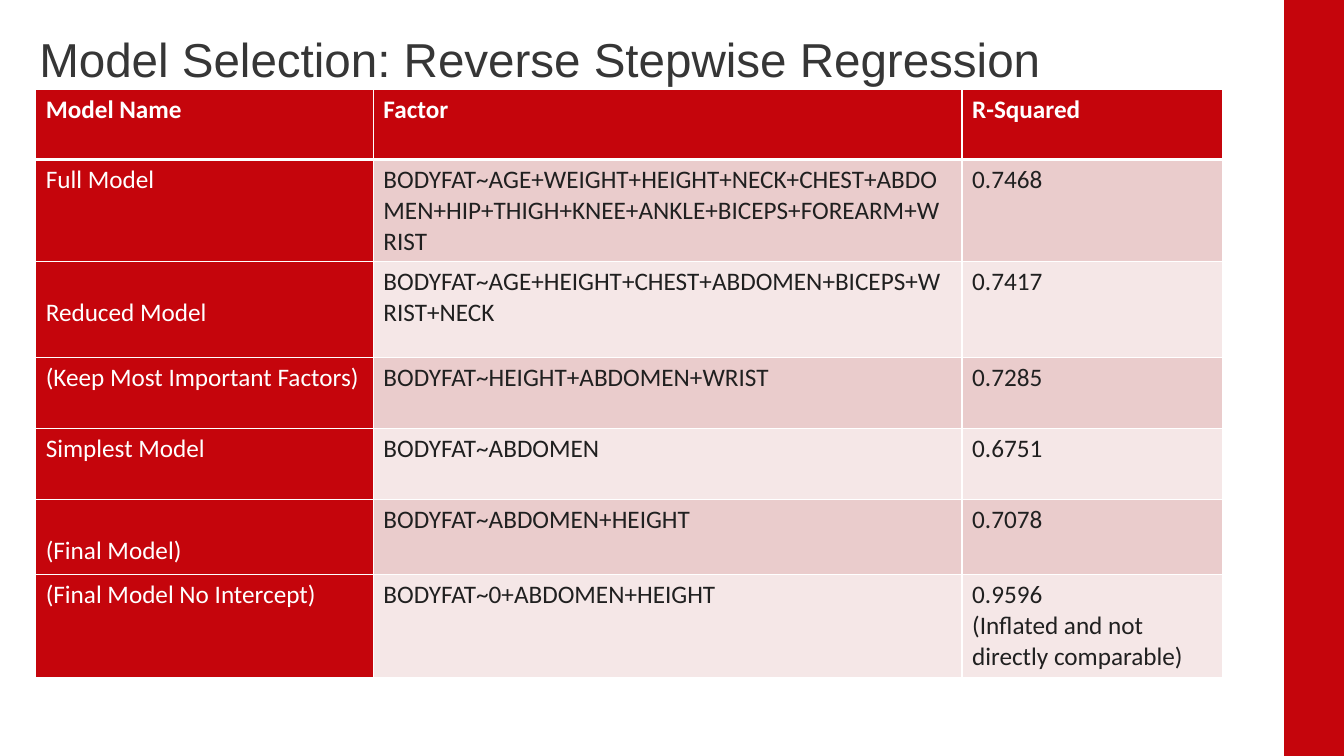
from lxml import etree
from pptx import Presentation
from pptx.dml.color import RGBColor
from pptx.enum.shapes import MSO_SHAPE
from pptx.enum.text import MSO_ANCHOR
from pptx.oxml.ns import qn
from pptx.util import Pt

RECTANGLE = MSO_SHAPE.RECTANGLE
BOTTOM = MSO_ANCHOR.BOTTOM

COLORS = {
    "red": "C5050C",
    "dark_band": "EACCCC",
    "light_band": "F5E7E7",
    "white": "FFFFFF",
    "title": "363636",
    "body": "202020",
}

SLIDE_WIDTH, SLIDE_HEIGHT = 960, 540
SIDEBAR_LEFT = 917.3
COLUMN_WIDTHS = [241.2, 420.5, 185.8]
ROW_HEIGHTS = [50, 73, 68.4, 50.6, 50.6, 54, 73.2]
CELL_MARGIN = 3.6
LINE_HEIGHT = 22

MODELS = [
    ("Model Name", "Factor", "R-Squared"),
    ("Full Model",
     "BODYFAT~AGE+WEIGHT+HEIGHT+NECK+CHEST+ABDOMEN+HIP+THIGH+KNEE"
     "+ANKLE+BICEPS+FOREARM+WRIST", "0.7468"),
    ("Reduced Model",
     "BODYFAT~AGE+HEIGHT+CHEST+ABDOMEN+BICEPS+WRIST+NECK", "0.7417"),
    ("(Keep Most Important Factors)", "BODYFAT~HEIGHT+ABDOMEN+WRIST", "0.7285"),
    ("Simplest Model", "BODYFAT~ABDOMEN", "0.6751"),
    ("(Final Model)", "BODYFAT~ABDOMEN+HEIGHT", "0.7078"),
    ("(Final Model No Intercept)", "BODYFAT~0+ABDOMEN+HEIGHT",
     "0.9596\n(Inflated and not directly comparable)"),
]
LOWERED_NAMES = {"Reduced Model", "(Final Model)"}


def rgb(name):
    return RGBColor.from_string(COLORS[name])


def write_text(frame, text, *, size=18, font="Calibri", color="body",
               bold=False, line_spacing=None):
    frame.word_wrap = True
    for index, line in enumerate(text.split("\n")):
        paragraph = frame.add_paragraph() if index else frame.paragraphs[0]
        if line_spacing:
            paragraph.line_spacing = line_spacing
        run = paragraph.add_run()
        run.text = line
        run.font.size = Pt(size)
        run.font.name = font
        run.font.bold = bold
        run.font.color.rgb = rgb(color)


def add_sidebar(slide):
    shape = slide.shapes.add_shape(RECTANGLE, Pt(SIDEBAR_LEFT), 0,
                                   Pt(SLIDE_WIDTH - SIDEBAR_LEFT), Pt(SLIDE_HEIGHT))
    shape.shadow.inherit = False
    shape.fill.solid()
    shape.fill.fore_color.rgb = rgb("red")
    shape.line.fill.background()


def add_title(slide, text):
    frame = slide.shapes.add_textbox(Pt(28.1), Pt(21.6), Pt(858), Pt(41)).text_frame
    frame.margin_left = frame.margin_bottom = 0
    frame.vertical_anchor = BOTTOM
    write_text(frame, text, size=34, font="Arial", color="title", line_spacing=0.9)


def set_borders(cell, widths):
    properties = cell._tc.get_or_add_tcPr()
    for side, width in widths.items():
        line = etree.SubElement(properties, qn(f"a:ln{side}"), w=str(Pt(width)))
        fill = etree.SubElement(line, qn("a:solidFill"))
        etree.SubElement(fill, qn("a:srgbClr"), val=COLORS["white"])


def fill_cell(cell, text, row, column):
    header = row == 0
    on_red = header or column == 0
    band = "dark_band" if row % 2 else "light_band"
    set_borders(cell, {"L": 1, "R": 1, "T": 3 if row == 1 else 1,
                       "B": 3 if header else 1})
    cell.fill.solid()
    cell.fill.fore_color.rgb = rgb("red" if on_red else band)
    # Some model names sit one line lower in their cell
    lowered = LINE_HEIGHT if text in LOWERED_NAMES else 0
    cell.margin_top = Pt(CELL_MARGIN + lowered)
    write_text(cell.text_frame, text, color="white" if on_red else "body",
               bold=header)


def add_model_table(slide):
    table = slide.shapes.add_table(
        len(MODELS), len(COLUMN_WIDTHS), Pt(25.5), Pt(64),
        Pt(sum(COLUMN_WIDTHS)), Pt(sum(ROW_HEIGHTS))).table
    for column, width in zip(table.columns, COLUMN_WIDTHS):
        column.width = Pt(width)
    for row, height in zip(table.rows, ROW_HEIGHTS):
        row.height = Pt(height)
    for row, texts in enumerate(MODELS):
        for column, text in enumerate(texts):
            fill_cell(table.cell(row, column), text, row, column)


def main():
    presentation = Presentation()
    presentation.slide_width = Pt(SLIDE_WIDTH)
    presentation.slide_height = Pt(SLIDE_HEIGHT)
    slide = presentation.slides.add_slide(presentation.slide_layouts[6])

    add_sidebar(slide)
    add_title(slide, "Model Selection: Reverse Stepwise Regression")
    add_model_table(slide)

    presentation.save("out.pptx")


main()
